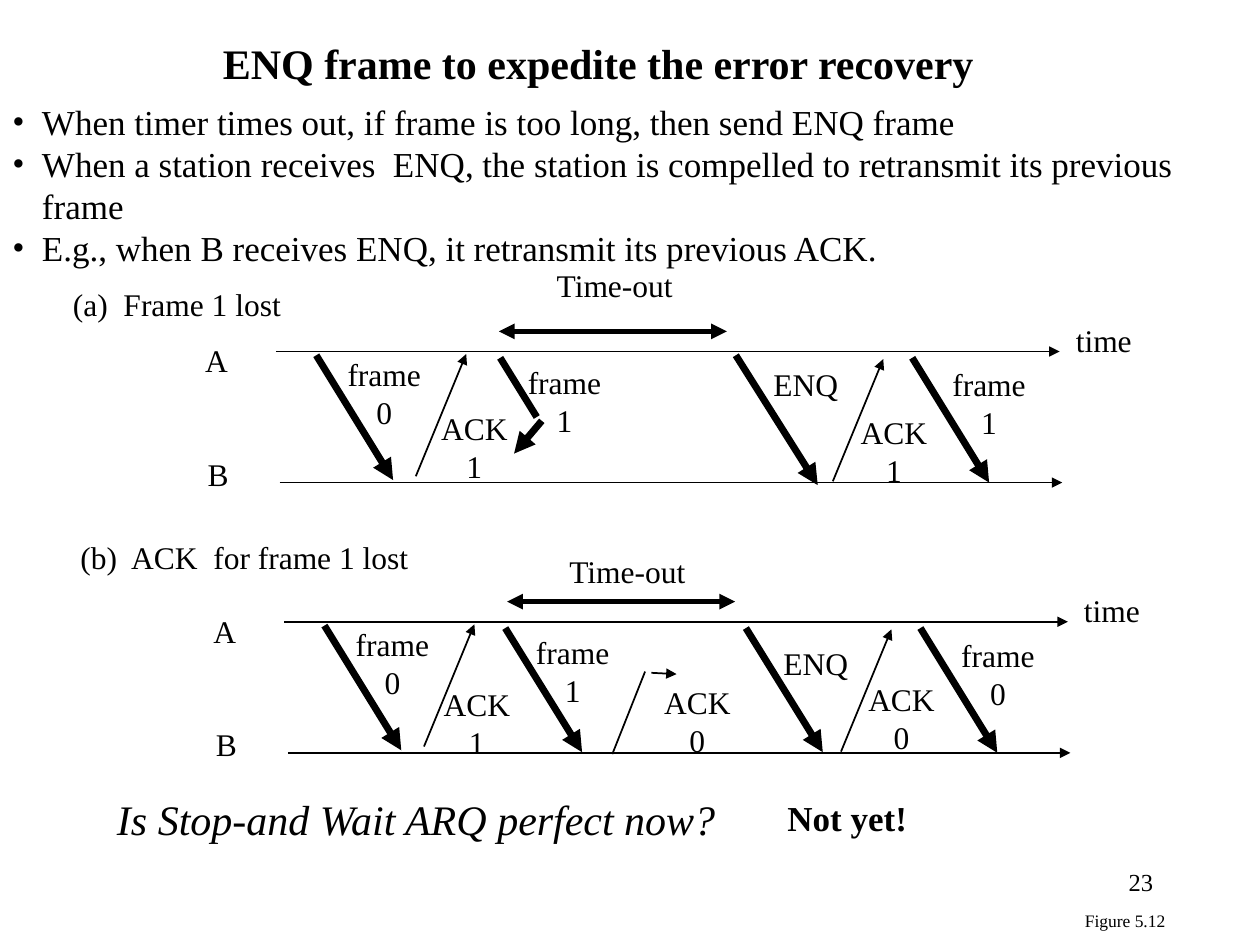
"""Build a slide on ENQ frames and error recovery in Stop-and-Wait ARQ."""
import pptx
import pptx.dml.color
import pptx.enum.shapes
import pptx.enum.text
import pptx.oxml.ns
import pptx.util
from lxml import etree

ALIGN = pptx.enum.text.PP_ALIGN
FIT = pptx.enum.text.MSO_AUTO_SIZE
THEME = {
    "font": "Times New Roman",
    "ink": pptx.dml.color.RGBColor(0, 0, 0),
    "title": 24, "body": 20, "label": 18, "number": 14, "figure": 10,
    "thin": 1, "span": 3, "thick": 4,
}

deck = pptx.Presentation()
deck.slide_width, deck.slide_height = pptx.util.Inches(10), pptx.util.Inches(7.5)
page = deck.slides.add_slide(deck.slide_layouts[6])
COLUMN, ROW = deck.slide_width / 100, deck.slide_height / 75


def write(left, top, width, height, lines, size="label", align=ALIGN.LEFT, wrap=False, **style):
    box = page.shapes.add_textbox(*(round(v) for v in (left * COLUMN, top * ROW, width * COLUMN, height * ROW)))
    box.text_frame.word_wrap = wrap
    box.text_frame.auto_size = FIT.NONE if wrap else FIT.SHAPE_TO_FIT_TEXT
    box.text_frame.text = "\n".join(lines)
    look = {"name": THEME["font"], "size": pptx.util.Pt(THEME[size]), **style}
    for para in box.text_frame.paragraphs:
        para.alignment = align
        for span in para.runs:
            for name, value in look.items():
                setattr(span.font, name, value)
            span.font.color.rgb = THEME["ink"]
    return box


def draw(x1, y1, x2, y2, weight="thin", ends=("tailEnd",)):
    line = page.shapes.add_connector(
        pptx.enum.shapes.MSO_CONNECTOR.STRAIGHT,
        *(round(v) for v in (x1 * COLUMN, y1 * ROW, x2 * COLUMN, y2 * ROW)))
    line.line.color.rgb = THEME["ink"]
    line.line.width = pptx.util.Pt(THEME[weight])
    stroke = line._element.spPr.get_or_add_ln()
    for end in ends:
        etree.SubElement(stroke, pptx.oxml.ns.qn(f"a:{end}"), type="triangle")
    etree.SubElement(line._element.spPr, pptx.oxml.ns.qn("a:effectLst"))


shared_lines = [
    (0, 0, 62.2, 0),
    (0.3, 10.4, 62.4, 10.4),
    (3.2, 0.3, 9.3, 10.2, "thick"),
    (11.1, 9.9, 15.1, 0.2),
    (44.2, 10.3, 48.2, 0.6),
    (50.5, 0.5, 56.6, 10.4, "thick"),
    (17.7, -1.6, 35.8, -1.6, "span", ("headEnd", "tailEnd")),
]
shared_labels = [
    (-6.6, -1.3, 3.8, ["A"]),
    (-6.4, 7.7, 3.7, ["B"]),
    (4.4, -0.2, 8.4, ["frame ", "0"]),
    (19, 0.4, 7.8, ["frame", "1"]),
    (62.5, -2.9, 6.7, ["time"]),
]
panels = [
    {
        "origin": (21.9, 27.9),
        "lines": [
            (17.8, 0.5, 20.7, 5.2, "thick", ()),
            (21.1, 5.5, 18.9, 8.1, "thick"),
            (36.5, 0.3, 43, 10.6, "thick"),
        ],
        "labels": [
            (-17.1, -5.8, 18.5, ["(a)  Frame 1 lost"]),
            (21.3, -7.3, 11.3, ["Time-out"]),
            (12.1, 4.1, 7.3, ["ACK", "1"]),
            (38.5, 0.6, 7.4, ["ENQ"]),
            (45.4, 4.4, 7.3, ["ACK", "1"]),
            (52.7, 0.6, 7.8, ["frame", "1"]),
        ],
    },
    {
        "origin": (22.55, 49.35),
        "lines": [
            (17.55, 0.5, 23.65, 10.35, "thick"),
            (26.05, 10.5, 28.65, 3.95, "thin", ()),
            (29.15, 4.05, 31.15, 4.15),
            (36.65, 0.5, 42.75, 10.35, "thick"),
        ],
        "labels": [
            (-17.15, -7.15, 28.2, ["(b)  ACK  for frame 1 lost"]),
            (21.65, -6.05, 11.3, ["Time-out"]),
            (11.65, 4.55, 7.3, ["ACK", "1"]),
            (38.65, 1.25, 7.4, ["ENQ"]),
            (29.15, 4.35, 7.3, ["ACK", "0"]),
            (45.35, 4.15, 7.3, ["ACK", "0"]),
            (52.75, 0.65, 7.8, ["frame", "0"]),
        ],
    },
]
for panel in panels:
    x, y = panel["origin"]
    for x1, y1, x2, y2, *form in shared_lines + panel["lines"]:
        draw(x + x1, y + y1, x + x2, y + y2, *form)
    for left, top, width, lines in shared_labels + panel["labels"]:
        align = ALIGN.CENTER if len(lines) > 1 else ALIGN.LEFT
        write(x + left, y + top, width, 1 + 3 * len(lines), lines, align=align)

write(16.7, 2.5, 62.6, 5, ["ENQ frame to expedite the error recovery"], "title", bold=True)
points = write(0, 7.5, 100, 11, [
    "When timer times out, if frame is too long, then send ENQ frame",
    "When a station receives  ENQ, the station is compelled to retransmit its previous frame",
    "E.g., when B receives ENQ, it retransmit its previous ACK.",
], "body", wrap=True)
for para in points.text_frame.paragraphs:
    settings = para._p.get_or_add_pPr()
    hang = round(2.35 * COLUMN)
    for name, value in {"marL": hang, "indent": -hang}.items():
        settings.set(name, str(value))
    etree.SubElement(settings, pptx.oxml.ns.qn("a:buFont"), typeface=THEME["font"])
    etree.SubElement(settings, pptx.oxml.ns.qn("a:buChar"), char="•")

write(8.3, 62.5, 49.8, 5, ["Is Stop-and Wait ARQ perfect now?"], "title", italic=True)
write(61.5, 62.7, 11.5, 4.4, ["Not yet!"], "body", bold=True)
write(71.7, 68.3, 20.8, 5, ["23"], "number", ALIGN.RIGHT, wrap=True)
figure = write(85.1, 71.7, 8.4, 2.7, ["Figure 5.12"], "figure", ALIGN.CENTER)
figure.text_frame.vertical_anchor = pptx.enum.text.MSO_ANCHOR.MIDDLE
figure.text_frame.paragraphs[0].space_before = pptx.util.Pt(6.2)

deck.save("out.pptx")
